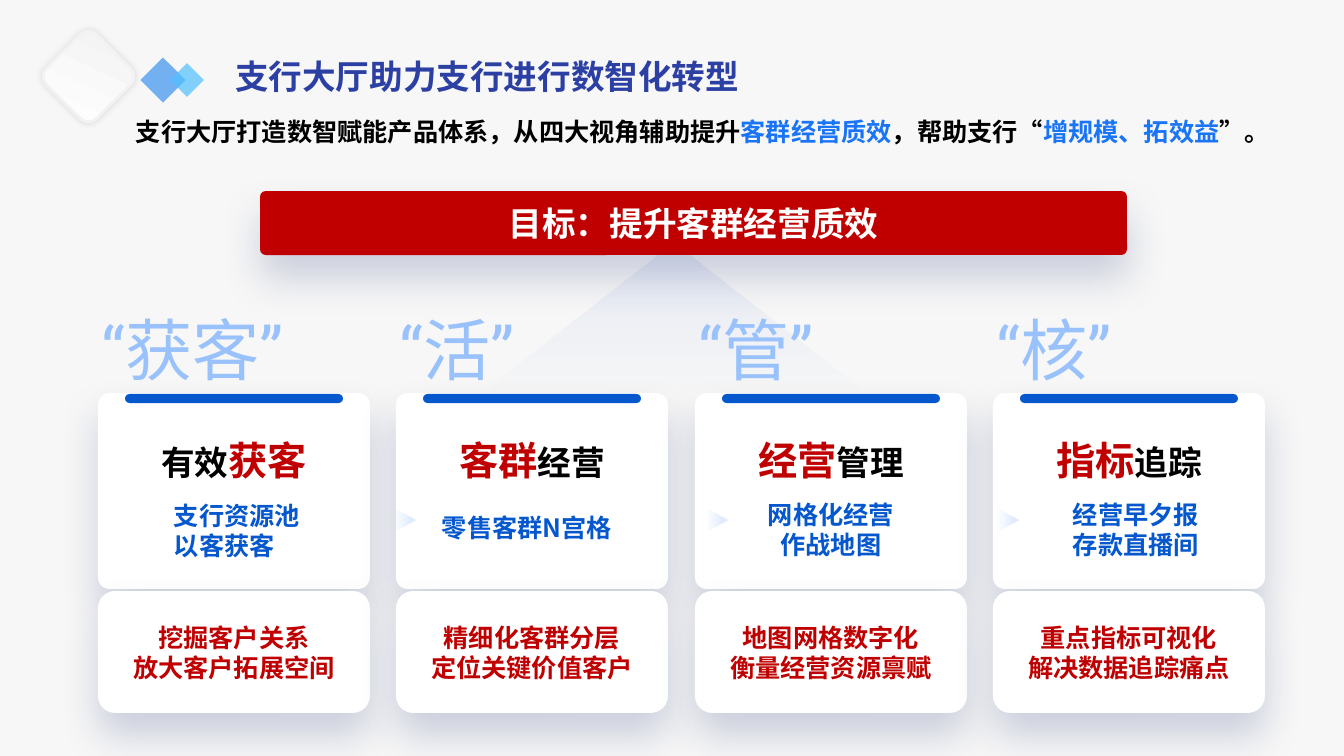
import dataclasses

import lxml.etree
import pptx
import pptx.dml.color
import pptx.enum.shapes
import pptx.enum.text
import pptx.oxml.ns
import pptx.util

SHAPES = pptx.enum.shapes.MSO_SHAPE
ALIGN = pptx.enum.text.PP_ALIGN
ANCHOR = pptx.enum.text.MSO_ANCHOR
qn = pptx.oxml.ns.qn

EMU_PER_PX = 914400 / 100.8
CARD_LEFT, CARD_STEP, CARD_WIDTH = 98, 298.4, 272


@dataclasses.dataclass(frozen=True)
class Theme:
    font: str = "Noto Sans CJK SC"
    watchword_font: str = "Roboto"
    background: str = "F7F7F7"
    title: str = "2C40A4"
    black: str = "000000"
    white: str = "FFFFFF"
    pale: str = "F2F2F2"
    highlight: str = "1974F6"
    red: str = "C00000"
    blue: str = "0557CD"
    arrow: str = "1D78FA"
    beam: str = "3665D9"
    shadow: str = "0D2268"
    diamonds: tuple = ("3C93F1", "4FC0FE")
    watchword: tuple = ((0, "F4F8FF", 100), (74, "99C2FD", 100),
                        (83, "99C2FD", 100), (100, "BBD6FD", 100))
    body_size: int = 18
    heading_size: int = 24
    emphasis_size: int = 28
    watchword_size: int = 48


THEME = Theme()

# Watchword, heading spans, detail lines with offset, top and alignment, benefit lines
COLUMNS = [
    ("“获客”", [("有效", False), ("获客", True)],
     ["支行资源池", "以客获客"], (66, 495, ALIGN.LEFT),
     ["挖掘客户关系", "放大客户拓展空间"]),
    ("“活”", [("客群", True), ("经营", False)],
     ["零售客群N宫格"], (36, 507, ALIGN.LEFT),
     ["精细化客群分层", "定位关键价值客户"]),
    ("“管”", [("经营", True), ("管理", False)],
     ["网格化经营", "作战地图"], (36, 494, ALIGN.CENTER),
     ["地图网格数字化", "衡量经营资源禀赋"]),
    ("“核”", [("指标", True), ("追踪", False)],
     ["经营早夕报", "存款直播间"], (70, 494, ALIGN.LEFT),
     ["重点指标可视化", "解决数据追踪痛点"]),
]


def px(value):
    return pptx.util.Emu(round(value * EMU_PER_PX))


def rgb(value):
    return pptx.dml.color.RGBColor.from_string(value)


def add_colour(parent, colour, alpha):
    node = lxml.etree.SubElement(parent, qn("a:srgbClr"), val=colour)
    if alpha < 100:
        lxml.etree.SubElement(node, qn("a:alpha"), val=str(alpha * 1000))


def gradient(stops, angle):
    """Build a gradient from (position, colour, opacity) stops in percent."""
    fill = lxml.etree.Element(qn("a:gradFill"), rotWithShape="1")
    stop_list = lxml.etree.SubElement(fill, qn("a:gsLst"))
    for position, colour, alpha in stops:
        stop = lxml.etree.SubElement(stop_list, qn("a:gs"), pos=str(position * 1000))
        add_colour(stop, colour, alpha)
    lxml.etree.SubElement(fill, qn("a:lin"), ang=str(angle * 60000), scaled="0")
    return fill


def add_shape(slide, kind, bounds, colour=None, adjust=(), rotation=0):
    shape = slide.shapes.add_shape(kind, *map(px, bounds))
    shape.shadow.inherit = False
    shape.line.fill.background()
    shape.rotation = rotation
    for index, value in enumerate(adjust):
        shape.adjustments[index] = value
    if colour:
        shape.fill.solid()
        shape.fill.fore_color.rgb = rgb(colour)
    return shape


def add_gradient_shape(slide, kind, bounds, stops, angle, adjust=(), rotation=0):
    shape = add_shape(slide, kind, bounds, adjust=adjust, rotation=rotation)
    shape._element.spPr.find(qn("a:prstGeom")).addnext(gradient(stops, angle))
    return shape


def add_shadow(shape, colour=THEME.shadow, alpha=18, blur=29, distance=16):
    effects = shape._element.spPr.find(qn("a:effectLst"))
    shadow = lxml.etree.SubElement(
        effects, qn("a:outerShdw"), blurRad=str(pptx.util.Pt(blur)),
        dist=str(pptx.util.Pt(distance)), dir="5400000", algn="t", rotWithShape="0")
    add_colour(shadow, colour, alpha)


def format_span(span, size, colour, font=THEME.font, bold=True):
    span.font.size = pptx.util.Pt(size)
    span.font.bold = bold
    span.font.name = font
    span.font.color.rgb = rgb(colour)
    east_asian = lxml.etree.Element(qn("a:ea"), typeface=font)
    span._r.rPr.find(qn("a:latin")).addnext(east_asian)


def write(frame, paragraphs, align=ALIGN.LEFT, spacing=1.0):
    """Fill a frame with paragraphs, each a list of (text, size, colour)."""
    frame.word_wrap = True
    for index, spans in enumerate(paragraphs):
        para = frame.add_paragraph() if index else frame.paragraphs[0]
        para.alignment = align
        para.line_spacing = spacing
        for text, size, colour in spans:
            span = para.add_run()
            span.text = text
            format_span(span, size, colour)


def add_text(slide, bounds, paragraphs, align=ALIGN.LEFT, spacing=1.0):
    box = slide.shapes.add_textbox(*map(px, bounds))
    write(box.text_frame, paragraphs, align, spacing)


def add_watchword(slide, bounds, text):
    box = slide.shapes.add_textbox(*map(px, bounds))
    box.text_frame.word_wrap = True
    box.text_frame.text = text
    span = box.text_frame.paragraphs[0].runs[0]
    format_span(span, THEME.watchword_size, THEME.watchword[1][1],
                THEME.watchword_font, bold=False)
    properties = span._r.rPr
    properties.replace(properties.find(qn("a:solidFill")), gradient(THEME.watchword, 90))


def add_ornament(slide):
    for bounds, colour in zip([(147, 64, 32, 32), (175, 68, 24, 24)], THEME.diamonds):
        diamond = add_shape(slide, SHAPES.RECTANGLE, bounds, colour, rotation=225)
        node = diamond._element.spPr.find(qn("a:solidFill"))[0]
        lxml.etree.SubElement(node, qn("a:alpha"), val="70000")
    tile = add_gradient_shape(
        slide, SHAPES.ROUNDED_RECTANGLE, (53, 41, 71, 71),
        [(0, THEME.white, 100), (100, THEME.pale, 100)], 250, rotation=45)
    tile.line.color.rgb = rgb(THEME.pale)
    tile.line.width = pptx.util.Pt(2)
    add_shadow(tile, THEME.black, 11, 5, 0)


def add_title(slide, text):
    title = slide.shapes.title
    title.left, title.top, title.width, title.height = map(px, (225, 43, 853, 72))
    title.text_frame.auto_size = pptx.enum.text.MSO_AUTO_SIZE.NONE
    title.text_frame.vertical_anchor = ANCHOR.MIDDLE
    write(title.text_frame, [[(text, THEME.heading_size, THEME.title)]], spacing=0.9)


def add_column(slide, left, watchword, heading, details, placement, benefits):
    add_watchword(slide, (left - 6, 303, CARD_WIDTH, 92), watchword)
    for top, height, corner in [(393, 196, 0.06), (591, 122, 0.14)]:
        card = add_shape(slide, SHAPES.ROUNDED_RECTANGLE,
                         (left, top, CARD_WIDTH, height), THEME.white, [corner])
        add_shadow(card)
    add_shape(slide, SHAPES.ROUNDED_RECTANGLE, (left + 27, 394, 218, 9), THEME.blue, [0.5])
    spans = [(text, THEME.emphasis_size, THEME.red) if strong
             else (text, THEME.heading_size, THEME.black) for text, strong in heading]
    add_text(slide, (left + 46, 427, 180, 62), [spans], ALIGN.CENTER, 1.1)
    offset, top, align = placement
    add_text(slide, (left + offset, top, 200, 72),
             [[(line, THEME.body_size, THEME.blue)] for line in details], align)
    add_text(slide, (left, 617, CARD_WIDTH, 72),
             [[(line, THEME.body_size, THEME.red)] for line in benefits], ALIGN.CENTER)


def add_arrow(slide, tip):
    """Add a faint wedge pointing right, with its tip at the given x."""
    add_gradient_shape(slide, SHAPES.PIE, (tip - 96, 424, 192, 192),
                       [(39, THEME.arrow, 0), (100, THEME.arrow, 100)], 180,
                       [198.03, 17.94], 180)


def main():
    deck = pptx.Presentation()
    deck.slide_width, deck.slide_height = px(1344), px(756)
    slide = deck.slides.add_slide(deck.slide_layouts[5])
    slide.background.fill.solid()
    slide.background.fill.fore_color.rgb = rgb(THEME.background)

    add_ornament(slide)
    add_title(slide, "支行大厅助力支行进行数智化转型")
    summary = [("支行大厅打造数智赋能产品体系，从四大视角辅助提升", THEME.black),
               ("客群经营质效", THEME.highlight), ("，帮助支行“", THEME.black),
               ("增规模、拓效益", THEME.highlight), ("”。", THEME.black)]
    add_text(slide, (126, 104, 1140, 94),
             [[(text, THEME.body_size, colour) for text, colour in summary]], spacing=1.25)
    add_gradient_shape(slide, SHAPES.ISOSCELES_TRIANGLE, (469, 243, 410, 160),
                       [(0, THEME.beam, 10), (100, THEME.beam, 0)], 90, [0.5])
    for index, column in enumerate(COLUMNS):
        add_column(slide, CARD_LEFT + round(CARD_STEP * index), *column)

    goal = add_shape(slide, SHAPES.ROUNDED_RECTANGLE, (260, 191, 867, 64), THEME.red, [0.09])
    add_shadow(goal)
    goal.text_frame.vertical_anchor = ANCHOR.MIDDLE
    write(goal.text_frame, [[("目标：提升客群经营质效", THEME.heading_size, THEME.white)]],
          ALIGN.CENTER)
    for tip in (415, 728, 1018):
        add_arrow(slide, tip)
    deck.save("out.pptx")


if __name__ == "__main__":
    main()
